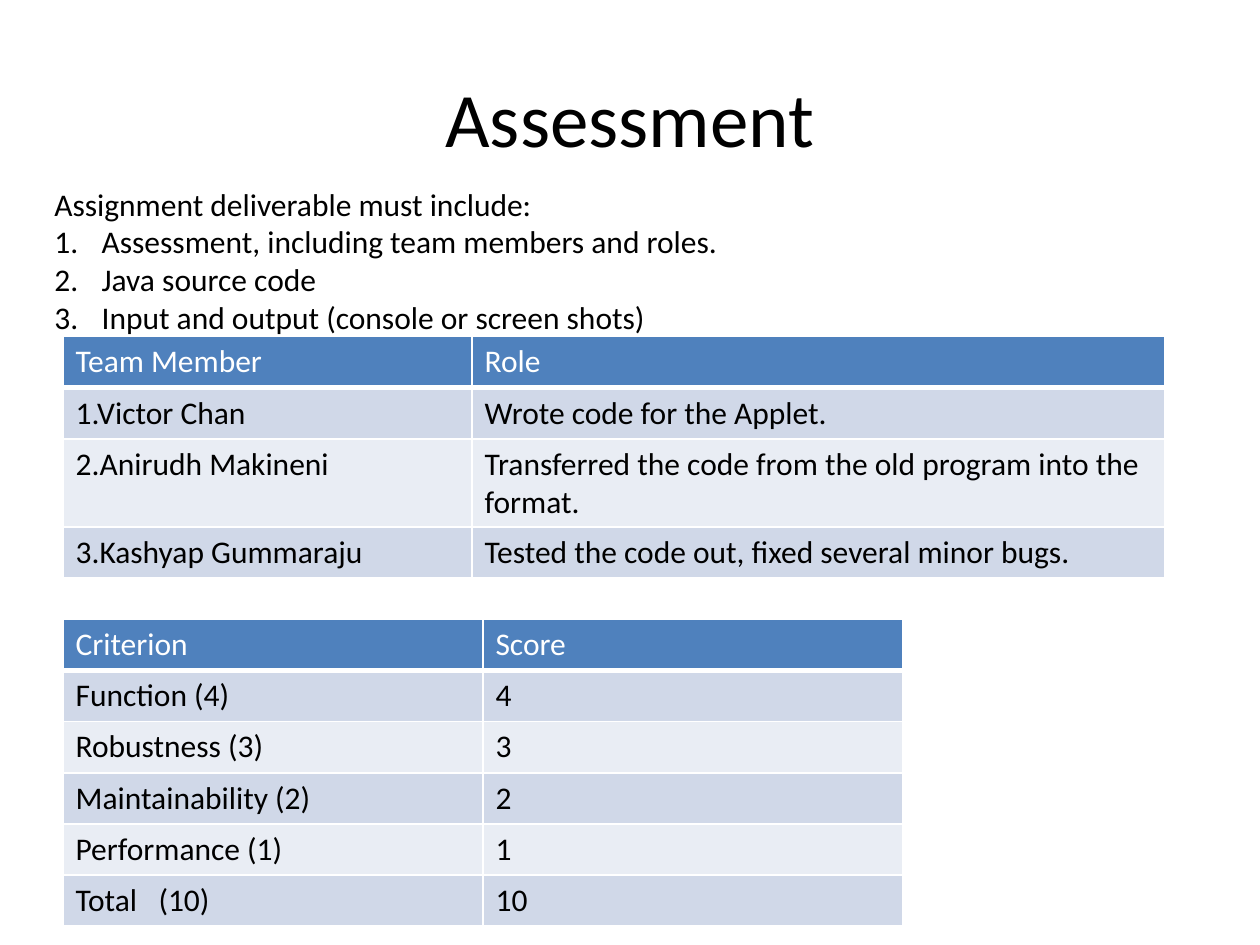
"""Build the assessment slide with its deliverables list and two tables."""
from dataclasses import dataclass

from lxml import etree
from pptx import Presentation
from pptx.dml.color import RGBColor
from pptx.enum.text import MSO_ANCHOR, MSO_AUTO_SIZE, PP_ALIGN
from pptx.oxml.ns import qn
from pptx.slide import Slide
from pptx.table import _Cell
from pptx.text.text import TextFrame, _Paragraph
from pptx.util import Pt

MIDDLE = MSO_ANCHOR.MIDDLE
CENTER = PP_ALIGN.CENTER
GROW = MSO_AUTO_SIZE.SHAPE_TO_FIT_TEXT
FONT = "Calibri"
BLACK, WHITE = "000000", "FFFFFF"
HEAD, BANDS = "4F81BD", ("D0D8E8", "E9EDF4")
ROW = 29.2
INDENT = 27


@dataclass
class Grid:
    left: float
    top: float
    widths: tuple[float, ...]
    rows: list[tuple[str, str]]


TEAM = Grid(36, 192.4, (233.8, 396), [
    ("Team Member", "Role"),
    ("1.Victor Chan", "Wrote code for the Applet."),
    ("2.Anirudh Makineni",
     "Transferred the code from the old program into the format."),
    ("3.Kashyap Gummaraju", "Tested the code out, fixed several minor bugs."),
])
SCORES = Grid(36, 354, (240, 240), [
    ("Criterion", "Score"),
    ("Function (4)", "4"),
    ("Robustness (3)", "3"),
    ("Maintainability (2)", "2"),
    ("Performance (1)", "1"),
    ("Total   (10)", "10"),
])
INTRO = "Assignment deliverable must include:"
ITEMS = [
    "Assessment, including team members and roles.",
    "Java source code",
    "Input and output (console or screen shots)",
]


def color(code: str) -> RGBColor:
    return RGBColor.from_string(code)


def style(para: _Paragraph, size: float, code: str) -> None:
    for run in para.runs:
        run.font.name = FONT
        run.font.size = Pt(size)
        run.font.color.rgb = color(code)


def add_box(slide: Slide, left: float, top: float, width: float,
            height: float) -> TextFrame:
    box = slide.shapes.add_textbox(Pt(left), Pt(top), Pt(width), Pt(height))
    box.text_frame.word_wrap = True
    return box.text_frame


def number(para: _Paragraph) -> None:
    props = para._p.get_or_add_pPr()
    props.set("marL", str(Pt(INDENT)))
    props.set("indent", str(-Pt(INDENT)))
    etree.SubElement(props, qn("a:buAutoNum"), type="arabicPeriod")


def add_edge(cell: _Cell, side: str, width: float) -> None:
    props = cell._tc.get_or_add_tcPr()
    line = etree.SubElement(props, qn(f"a:ln{side}"), w=str(Pt(width)))
    fill = etree.SubElement(line, qn("a:solidFill"))
    etree.SubElement(fill, qn("a:srgbClr"), val=WHITE)


def fill_cell(cell: _Cell, text: str, row: int) -> None:
    top = 3 if row == 1 else 1
    base = 3 if row == 0 else 1
    for side, width in (("L", 1), ("R", 1), ("T", top), ("B", base)):
        add_edge(cell, side, width)
    cell.fill.solid()
    cell.fill.fore_color.rgb = color(BANDS[(row - 1) % 2] if row else HEAD)
    cell.text = text
    style(cell.text_frame.paragraphs[0], 18, BLACK if row else WHITE)


def add_grid(slide: Slide, grid: Grid) -> None:
    count = len(grid.rows)
    table = slide.shapes.add_table(
        count, len(grid.widths), Pt(grid.left), Pt(grid.top),
        Pt(sum(grid.widths)), Pt(ROW * count)).table
    for col, width in zip(table.columns, grid.widths):
        col.width = Pt(width)
    for row, texts in enumerate(grid.rows):
        table.rows[row].height = Pt(ROW)
        for col, text in enumerate(texts):
            fill_cell(table.cell(row, col), text, row)


def add_title(slide: Slide) -> None:
    frame = add_box(slide, 36, 21.6, 648, 90)
    frame.vertical_anchor = MIDDLE
    frame.text = "Assessment"
    para = frame.paragraphs[0]
    para.alignment = CENTER
    style(para, 44, BLACK)


def add_list(slide: Slide) -> None:
    frame = add_box(slide, 24, 102, 504, 116.6)
    frame.auto_size = GROW
    frame.text = "\n".join([INTRO, *ITEMS])
    for para in frame.paragraphs:
        style(para, 18, BLACK)
    for para in frame.paragraphs[1:]:
        number(para)


def main() -> None:
    deck = Presentation()
    deck.slide_width, deck.slide_height = Pt(720), Pt(540)
    slide = deck.slides.add_slide(deck.slide_layouts[6])
    add_title(slide)
    for grid in (TEAM, SCORES):
        add_grid(slide, grid)
    add_list(slide)
    deck.save("out.pptx")


if __name__ == "__main__":
    main()
